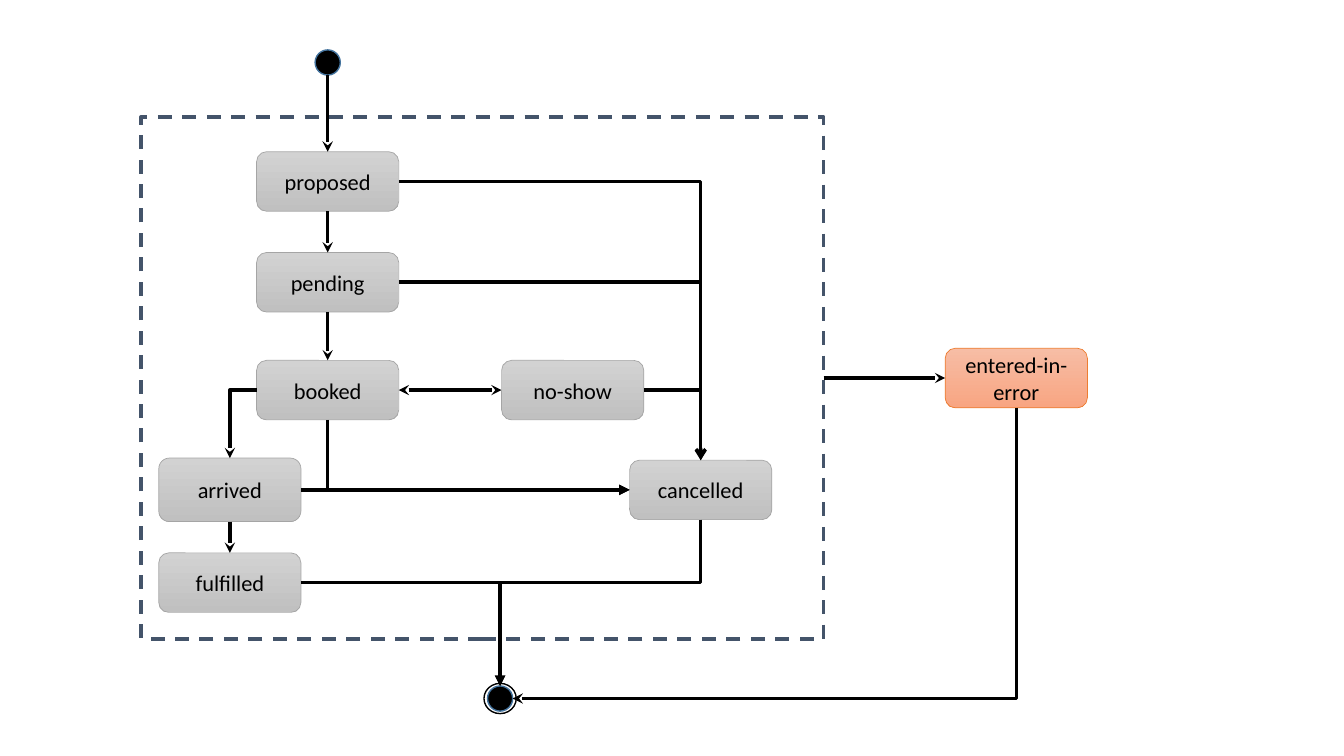
from lxml import etree
from pptx import Presentation
from pptx.dml.color import RGBColor
from pptx.enum.dml import MSO_LINE
from pptx.enum.shapes import MSO_CONNECTOR, MSO_SHAPE
from pptx.enum.text import MSO_ANCHOR, PP_ALIGN
from pptx.oxml.ns import qn
from pptx.util import Inches, Pt

DASH = MSO_LINE.DASH
STRAIGHT, ELBOW = MSO_CONNECTOR.STRAIGHT, MSO_CONNECTOR.ELBOW
OVAL, RECTANGLE, ROUNDED = MSO_SHAPE.OVAL, MSO_SHAPE.RECTANGLE, MSO_SHAPE.ROUNDED_RECTANGLE
MIDDLE, CENTER = MSO_ANCHOR.MIDDLE, PP_ALIGN.CENTER

BLACK = RGBColor(0x00, 0x00, 0x00)
DOT_EDGE = RGBColor(0x43, 0x73, 0x9E)
FRAME_EDGE = RGBColor(0x44, 0x54, 0x6A)
# Gradient top, gradient bottom, outline
GRAY = (RGBColor(0xD2, 0xD2, 0xD2), RGBColor(0xC0, 0xC0, 0xC0), RGBColor(0xA5, 0xA5, 0xA5))
ORANGE = (RGBColor(0xF7, 0xBD, 0xA5), RGBColor(0xF8, 0xA5, 0x82), RGBColor(0xED, 0x7D, 0x31))

FONT = "Calibri"
STATE_WIDTH, STATE_HEIGHT = 1.41, 0.59
DOT_SIZE = 0.25
FRAME = (4.785, 3.75, 6.77, 5.18)  # centre x, centre y, width, height
MAIN_X, LEFT_X, CANCEL_X, FINAL_X = 3.25, 2.28, 6.95, 4.96
BOOKED_Y, CANCEL_Y, FINAL_Y = 3.87, 4.86, 6.93

# State: centre x, centre y, height, colours
STATES = {
    "proposed": (MAIN_X, 1.8, STATE_HEIGHT, GRAY),
    "pending": (MAIN_X, 2.8, STATE_HEIGHT, GRAY),
    "booked": (MAIN_X, BOOKED_Y, STATE_HEIGHT, GRAY),
    "no-show": (5.68, BOOKED_Y, STATE_HEIGHT, GRAY),
    "arrived": (LEFT_X, CANCEL_Y, 0.63, GRAY),
    "fulfilled": (LEFT_X, 5.78, STATE_HEIGHT, GRAY),
    "cancelled": (CANCEL_X, CANCEL_Y, STATE_HEIGHT, GRAY),
    "entered-in-error": (10.08, FRAME[1], STATE_HEIGHT, ORANGE),
}

# From, side, to, side, route, arrowhead
TRANSITIONS = [
    ("start", "bottom", "proposed", "top", "straight", "stealth"),
    ("proposed", "bottom", "pending", "top", "straight", "stealth"),
    ("pending", "bottom", "booked", "top", "straight", "stealth"),
    ("booked", "right", "no-show", "left", "both ways", "stealth"),
    ("booked", "left", "arrived", "top", "across", "stealth"),
    ("booked", "bottom", "cancelled", "left", "down", "triangle"),
    ("arrived", "bottom", "fulfilled", "top", "straight", "stealth"),
    ("arrived", "right", "cancelled", "left", "straight", "stealth"),
    ("pending", "right", "cancelled", "top", "across", "stealth"),
    ("no-show", "right", "cancelled", "top", "across", "triangle"),
    ("proposed", "right", "cancelled", "top", "across", "arrow"),
    ("cancelled", "bottom", "final", "top", "step", "stealth"),
    ("fulfilled", "right", "final", "top", "across", "triangle"),
    ("frame", "right", "entered-in-error", "left", "straight", "stealth"),
    ("entered-in-error", "bottom", "final", "right", "down", "stealth"),
]
# Side: connection site, horizontal and vertical share of the size
SIDES = {"top": (0, 0.5, 0), "left": (1, 0, 0.5), "bottom": (2, 0.5, 1), "right": (3, 1, 0.5)}
STEP_SHARE = 37900  # where the step turns, in thousandths of a percent


def add_outline(slide, kind, center_x, center_y, width, height, color, weight):
    """Add an unfilled, outlined shape around a centre point."""
    shape = slide.shapes.add_shape(kind, Inches(center_x - width / 2), Inches(center_y - height / 2),
                                   Inches(width), Inches(height))
    shape.shadow.inherit = False
    shape.fill.background()
    shape.line.color.rgb = color
    shape.line.width = Pt(weight)
    return shape


def add_dot(slide, center_x, center_y):
    """Add a solid black start or end dot."""
    dot = add_outline(slide, OVAL, center_x, center_y, DOT_SIZE, DOT_SIZE, DOT_EDGE, 1)
    dot.fill.solid()
    dot.fill.fore_color.rgb = BLACK
    return dot


def add_state(slide, label, center_x, center_y, height, colors):
    """Add a rounded state box with a vertical gradient and a label."""
    top_color, bottom_color, edge = colors
    state = add_outline(slide, ROUNDED, center_x, center_y, STATE_WIDTH, height, edge, 0.5)
    state.fill.gradient()
    state.fill.gradient_angle = 270
    for stop, color in zip(state.fill.gradient_stops, (top_color, bottom_color)):
        stop.color.rgb = color
    frame = state.text_frame
    frame.word_wrap = True
    frame.vertical_anchor = MIDDLE
    paragraph = frame.paragraphs[0]
    paragraph.alignment = CENTER
    run = paragraph.add_run()
    run.text = label
    run.font.name = FONT
    run.font.size = Pt(16)
    run.font.color.rgb = BLACK
    return state


def side_point(shape, side):
    """Return the middle of one side of a shape."""
    _, share_x, share_y = SIDES[side]
    return shape.left + int(shape.width * share_x), shape.top + int(shape.height * share_y)


def glue(connector, tag, shape, side):
    """Attach one connector end to a side; ovals have twice as many sites."""
    site = SIDES[side][0] * (2 if shape.auto_shape_type == OVAL else 1)
    properties = connector.element.find(qn("p:nvCxnSpPr")).find(qn("p:cNvCxnSpPr"))
    etree.SubElement(properties, qn(tag), id=str(shape.shape_id), idx=str(site))


def quarter_turn(begin, end):
    """Return the ends to draw so that a 90 degree turn leads from begin to end."""
    (begin_x, begin_y), (end_x, end_y) = begin, end
    middle_x, middle_y = (begin_x + end_x) // 2, (begin_y + end_y) // 2
    half_width, half_height = (end_y - begin_y) // 2, (begin_x - end_x) // 2
    return ((middle_x - half_width, middle_y - half_height),
            (middle_x + half_width, middle_y + half_height))


def add_transition(slide, source, source_side, target, target_side, route, arrowhead):
    """Add an arrow between two shapes along the given route."""
    begin, end = side_point(source, source_side), side_point(target, target_side)
    turned = route in ("down", "step")
    bent = turned or route == "across"
    if turned:
        begin, end = quarter_turn(begin, end)
    elif not bent and source_side in ("top", "bottom"):
        end = (begin[0], end[1])
    elif not bent:
        end = (end[0], begin[1])
    connector = slide.shapes.add_connector(ELBOW if bent else STRAIGHT, *begin, *end)
    connector.line.color.rgb = BLACK
    connector.line.width = Pt(2.5)
    glue(connector, "a:stCxn", source, source_side)
    glue(connector, "a:endCxn", target, target_side)

    properties = connector.element.spPr
    geometry = properties.find(qn("a:prstGeom"))
    if turned:
        properties.find(qn("a:xfrm")).set("rot", "5400000")
    if route == "step":
        adjustments = geometry.find(qn("a:avLst"))
        etree.SubElement(adjustments, qn("a:gd"), name="adj1", fmla=f"val {STEP_SHARE}")
    elif bent:
        geometry.set("prst", "bentConnector2")
    line = properties.find(qn("a:ln"))
    if route == "both ways":
        etree.SubElement(line, qn("a:headEnd"), type=arrowhead)
    etree.SubElement(line, qn("a:tailEnd"), type=arrowhead)
    etree.SubElement(properties, qn("a:effectLst"))


presentation = Presentation()
presentation.slide_width, presentation.slide_height = Inches(13.33), Inches(7.5)
slide = presentation.slides.add_slide(presentation.slide_layouts[6])

nodes = {"frame": add_outline(slide, RECTANGLE, *FRAME, FRAME_EDGE, 2.5)}
nodes["frame"].line.dash_style = DASH
nodes["start"] = add_dot(slide, MAIN_X, 0.62)
nodes["final"] = add_dot(slide, FINAL_X, FINAL_Y)
add_outline(slide, OVAL, FINAL_X, FINAL_Y, 0.32, 0.3, BLACK, 1)
for label, placement in STATES.items():
    nodes[label] = add_state(slide, label, *placement)
for source, source_side, target, target_side, route, arrowhead in TRANSITIONS:
    add_transition(slide, nodes[source], source_side, nodes[target], target_side, route, arrowhead)

presentation.save("out.pptx")
